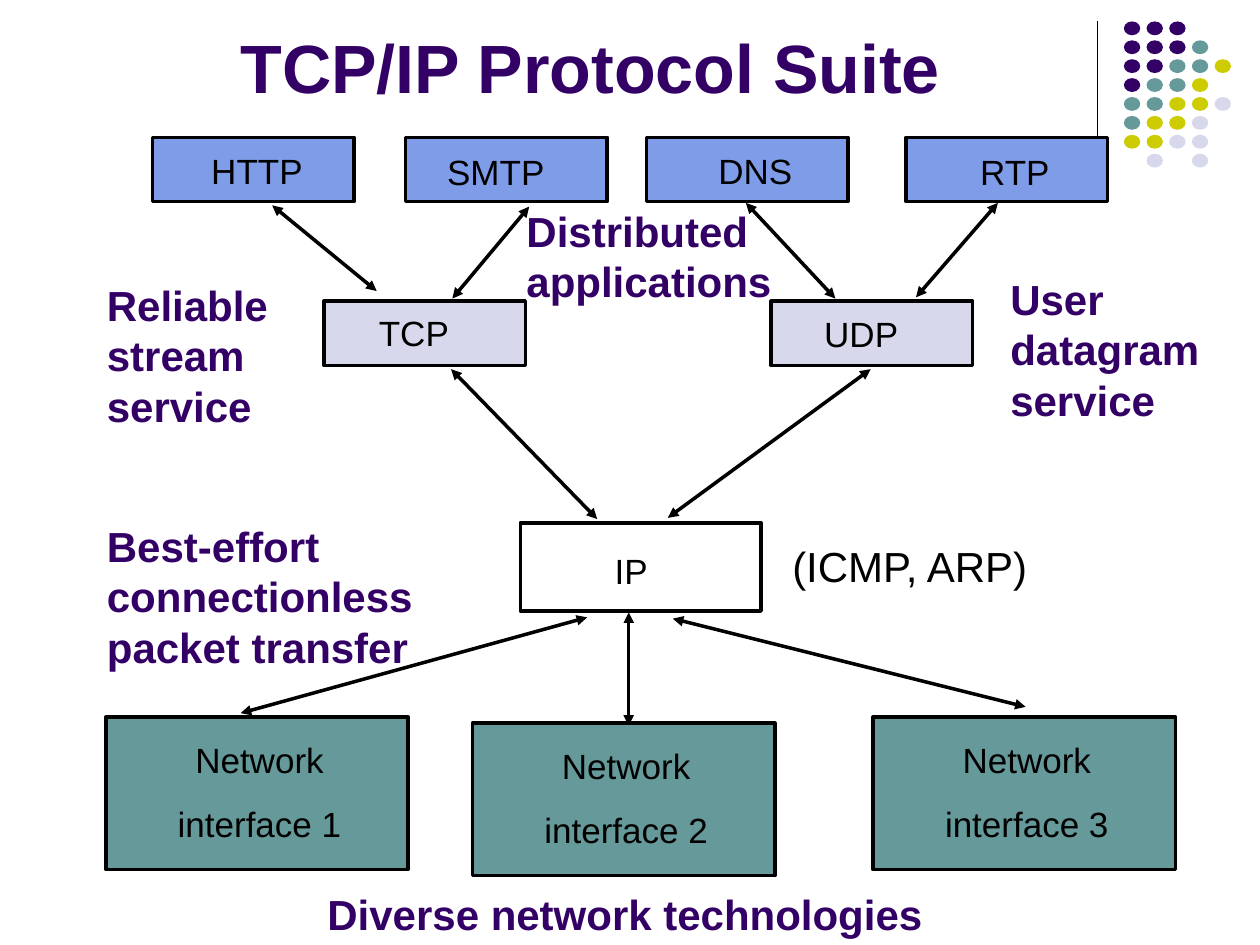
from lxml.etree import SubElement
from pptx import Presentation
from pptx.dml.color import RGBColor
from pptx.enum.shapes import MSO_CONNECTOR, MSO_SHAPE
from pptx.enum.text import MSO_ANCHOR, MSO_AUTO_SIZE, PP_ALIGN
from pptx.oxml.ns import qn
from pptx.util import Inches, Pt

COLORS = {
    "purple": "330066", "teal": "669999", "olive": "CCCC00",
    "lavender": "D8D8EC", "blue": "7E9CE8", "black": "000000",
}
DOT_COLORS = {"P": "purple", "T": "teal", "O": "olive", "L": "lavender"}
DOT_ROWS = ["PPP", "PPPT", "PPTTO", "PTTO", "TTOOL", "TOOL", "OOLL", " L L"]

# Each entry: box, label box, text
APPLICATIONS = [
    ((1.21, 1.09, 1.6, 0.51), (1.52, 1.13, 1.04, 0.44), "HTTP"),
    ((3.22, 1.09, 1.6, 0.51), (3.45, 1.14, 0.97, 0.44), "SMTP"),
    ((5.13, 1.09, 1.6, 0.51), (5.56, 1.13, 0.87, 0.44), "DNS"),
    ((7.19, 1.09, 1.6, 0.51), (7.68, 1.14, 0.75, 0.44), "RTP"),
]
TRANSPORTS = [
    ((2.57, 2.39, 1.6, 0.51), (2.88, 2.42, 0.81, 0.44), "TCP"),
    ((6.12, 2.39, 1.6, 0.51), (6.43, 2.43, 0.81, 0.44), "UDP"),
]
INTERNET = [((4.13, 4.15, 1.91, 0.7), (4.76, 4.31, 0.5, 0.44), "IP")]
INTERFACES = [
    ((left, top, 2.4, 1.21), (left + 0.25, top + 0.12, 1.94, 0.94),
     f"Network\ninterface {number}")
    for number, (left, top) in enumerate([(0.84, 5.69), (3.75, 5.74), (6.93, 5.69)], 1)
]
ARROWS = [
    ((2.16, 1.63), (2.99, 2.31)),  # HTTP - TCP
    ((3.59, 2.37), (4.2, 1.64)),   # TCP - SMTP
    ((6.63, 2.37), (5.92, 1.61)),  # UDP - DNS
    ((7.27, 2.36), (7.92, 1.61)),  # UDP - RTP
    ((4.74, 4.12), (3.58, 2.93)),  # IP - TCP
    ((5.3, 4.11), (6.91, 2.93)),   # IP - UDP
    ((1.91, 5.66), (4.66, 4.9)),   # interface 1 - IP
    ((4.99, 5.76), (4.99, 4.86)),  # interface 2 - IP
    ((8.14, 5.61), (5.34, 4.91)),  # interface 3 - IP
]
CAPTIONS = [
    ((4.08, 1.58, 2.58, 0.9), "Distributed applications"),
    ((0.75, 2.17, 2, 1.3), "Reliable stream service"),
    ((7.92, 2.12, 2, 1.3), "User\ndatagram service"),
    ((0.75, 4.08, 3.18, 1.3), "Best-effort\nconnectionless packet transfer"),
    ((2.5, 7, 5.17, 0.5), "Diverse network technologies"),
]


def color(name):
    return RGBColor.from_string(COLORS[name])


def add_text(slide, box, text, size=24, name="purple", bold=True, wrap=True,
             align=PP_ALIGN.LEFT, anchor=MSO_ANCHOR.TOP, gap=0):
    """Add a text box; each line of text is a paragraph, gap points apart."""
    frame = slide.shapes.add_textbox(*map(Inches, box)).text_frame
    frame.word_wrap = wrap
    frame.auto_size = MSO_AUTO_SIZE.SHAPE_TO_FIT_TEXT
    frame.vertical_anchor = anchor
    frame.text = text
    for index, paragraph in enumerate(frame.paragraphs):
        paragraph.alignment = align
        if index:
            paragraph.space_before = Pt(gap)
        font = paragraph.font
        font.name, font.size, font.bold = "Arial", Pt(size), bold
        font.color.rgb = color(name)


def add_preset(slide, preset, box, fill=None, outline=0):
    shape = slide.shapes.add_shape(preset, *map(Inches, box))
    shape.shadow.inherit = False
    if fill:
        shape.fill.solid()
        shape.fill.fore_color.rgb = color(fill)
    else:
        shape.fill.background()
    if outline:
        shape.line.color.rgb = color("black")
        shape.line.width = Pt(outline)
    else:
        shape.line.fill.background()


def add_line(slide, start, end, width=2, arrows=True):
    line = slide.shapes.add_connector(
        MSO_CONNECTOR.STRAIGHT, *map(Inches, (*start, *end)))
    line.line.color.rgb = color("black")
    line.line.width = Pt(width)
    if arrows:
        outline = line.get_or_add_ln()
        for tag in ("a:headEnd", "a:tailEnd"):
            SubElement(outline, qn(tag), type="triangle")
    SubElement(line._element.spPr, qn("a:effectLst"))


def add_dot_ornament(slide, left, top):
    for row, marks in enumerate(DOT_ROWS):
        for column, mark in enumerate(marks):
            if mark != " ":
                box = (left + column * 0.18, top + row * 0.15, 0.13, 0.11)
                add_preset(slide, MSO_SHAPE.OVAL, box, DOT_COLORS[mark])


def add_layer(slide, nodes, fill=None):
    """Draw one protocol layer: an outlined box and its label per node."""
    for box, label_box, text in nodes:
        add_preset(slide, MSO_SHAPE.RECTANGLE, box, fill, outline=2)
        add_text(slide, label_box, text, size=20, name="black", bold=False,
                 wrap="\n" in text, align=PP_ALIGN.CENTER,
                 anchor=MSO_ANCHOR.MIDDLE, gap=12.5)


def main():
    presentation = Presentation()
    presentation.slide_width, presentation.slide_height = Inches(10), Inches(7.5)
    slide = presentation.slides.add_slide(presentation.slide_layouts[6])

    add_line(slide, (8.71, 0.17), (8.71, 1.54), width=0.75, arrows=False)
    add_dot_ornament(slide, 8.92, 0.17)
    add_text(slide, (1.81, 0.15, 5.77, 0.75), "TCP/IP Protocol Suite",
             size=39, wrap=False)
    for start, end in ARROWS:
        add_line(slide, start, end)
    add_layer(slide, APPLICATIONS, "blue")
    add_layer(slide, TRANSPORTS, "lavender")
    add_layer(slide, INTERNET)
    add_layer(slide, INTERFACES, "teal")
    add_text(slide, (6.16, 4.24, 2.12, 0.5), "(ICMP, ARP)", name="black",
             bold=False, wrap=False, align=PP_ALIGN.CENTER,
             anchor=MSO_ANCHOR.MIDDLE)
    for box, text in CAPTIONS:
        add_text(slide, box, text)
    presentation.save("out.pptx")


if __name__ == "__main__":
    main()
